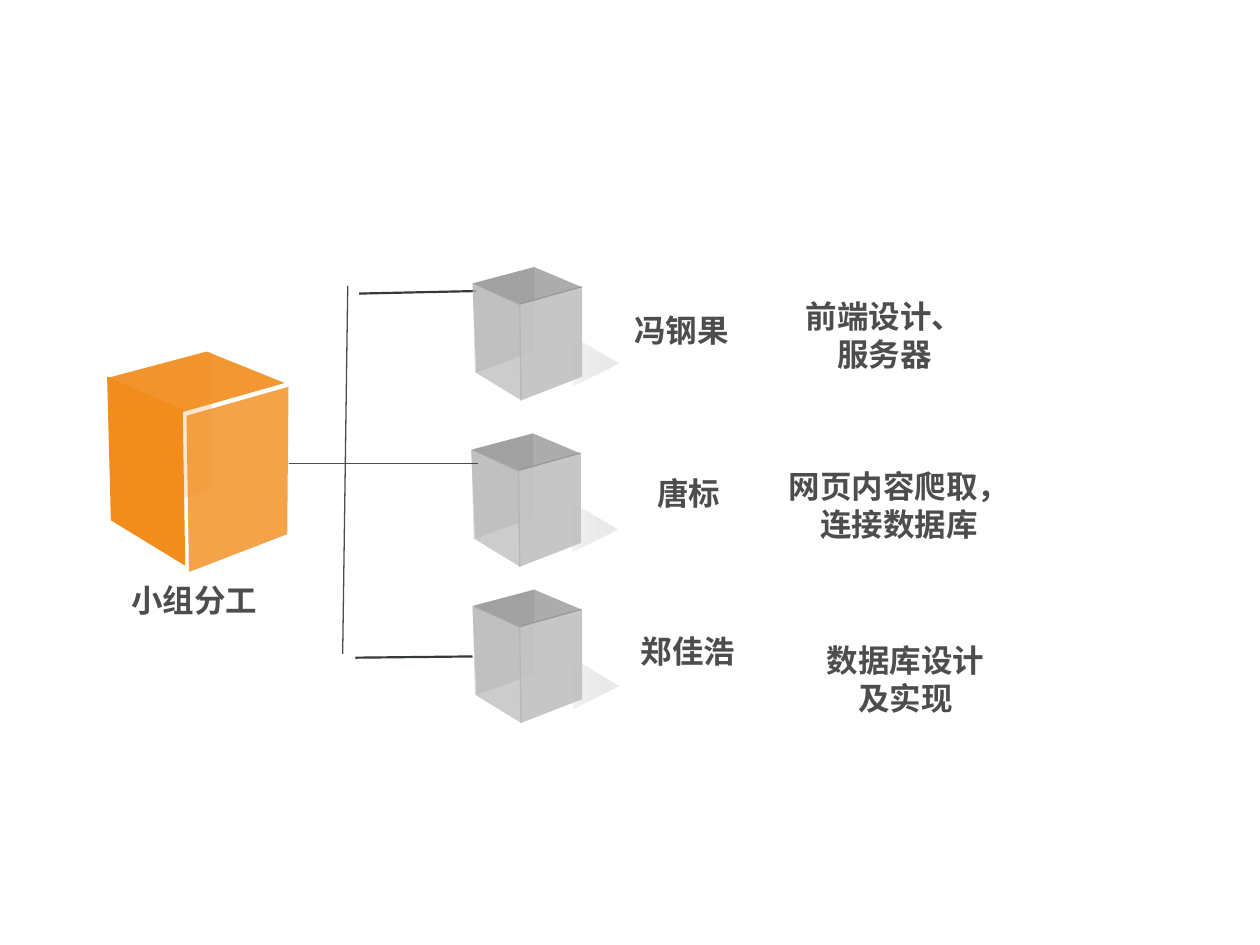
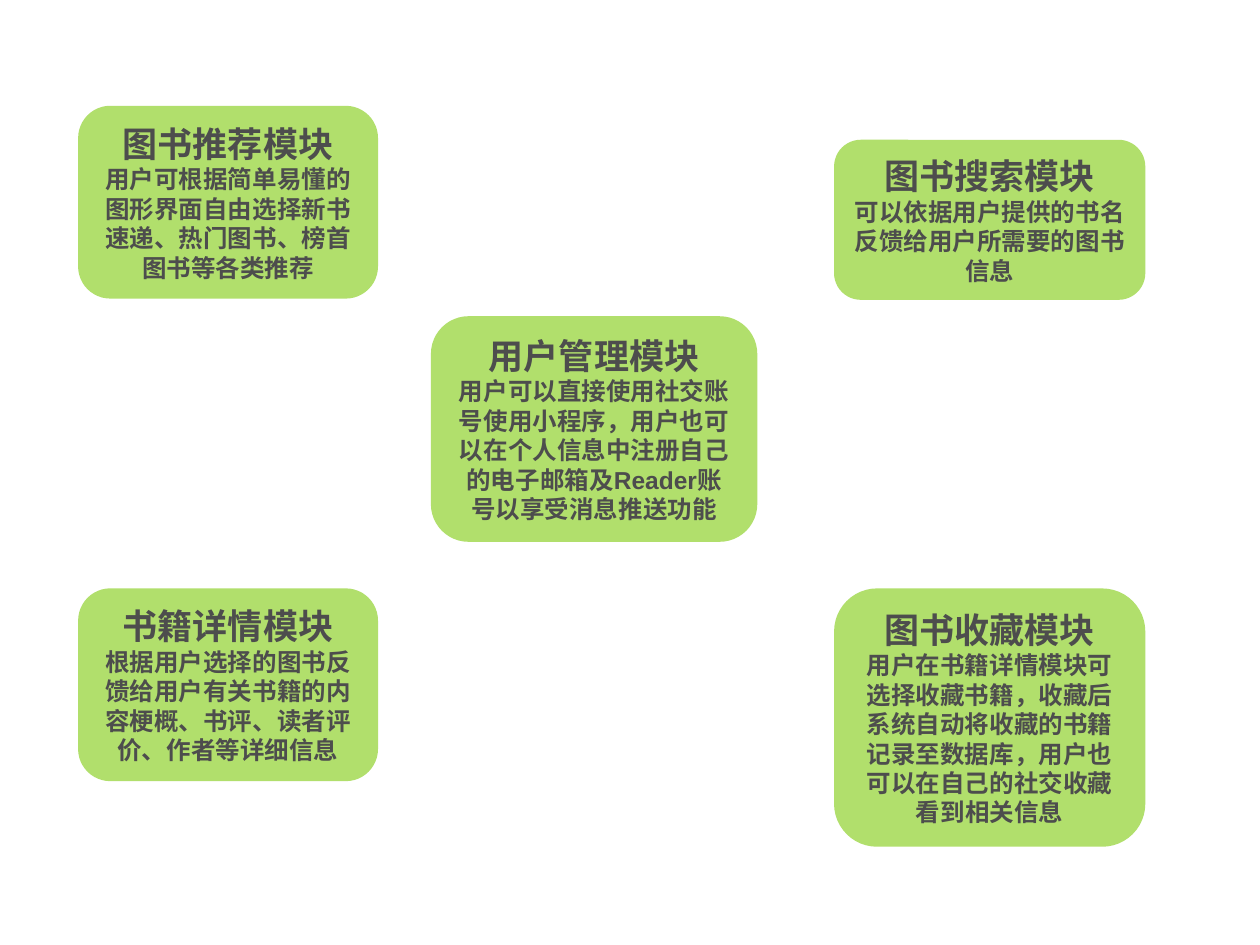
from lxml import etree
from pptx import Presentation
from pptx.dml.color import RGBColor
from pptx.enum.shapes import MSO_CONNECTOR, MSO_SHAPE
from pptx.enum.text import MSO_ANCHOR, MSO_AUTO_SIZE, PP_ALIGN
from pptx.oxml.ns import qn
from pptx.util import Inches, Pt

STRAIGHT = MSO_CONNECTOR.STRAIGHT
ROUNDED = MSO_SHAPE.ROUNDED_RECTANGLE
MIDDLE = MSO_ANCHOR.MIDDLE
GROW = MSO_AUTO_SIZE.SHAPE_TO_FIT_TEXT
CENTER = PP_ALIGN.CENTER

TEXT = RGBColor(0x4D, 0x4D, 0x4D)
BRANCH = RGBColor(0x35, 0x3A, 0x3C)
ORANGE = RGBColor(0xF2, 0x8C, 0x1C)
GREEN = RGBColor(0xB1, 0xDF, 0x6C)
SILVER = RGBColor(0xC0, 0xC0, 0xC0)
GRAY = RGBColor(0x80, 0x80, 0x80)
MID_GRAY = RGBColor(0xAE, 0xAE, 0xAE)
SHADOW = (RGBColor(0xD7, 0xD7, 0xD7), RGBColor(0xEA, 0xEA, 0xEA))

LATIN_FONT = "Arial"
CHINESE_FONT = "Noto Sans CJK SC"

# Faces from back to front: corner points, colour, opacity in percent.
ORANGE_FACES = [
    ([(0, 0.2), (0.03, 1.34), (0.62, 1.7), (0.6, 0.46)], ORANGE, 100),
    ([(0, 0.21), (0.6, 0.48), (1.41, 0.25), (0.79, 0)], ORANGE, 90),
    ([(0.63, 0.51), (0.65, 1.75), (1.43, 1.45), (1.44, 0.28)], ORANGE, 80),
    ([(0.83, 0), (0.83, 1.09), (0.07, 1.35), (0.04, 0.21)], ORANGE, 20),
]
GRAY_FACES = [
    ([(0.8, 0.55), (1.16, 0.76), (0.8, 0.94)], SHADOW, 28),
    ([(0.49, 0), (0.49, 0.67), (0.02, 0.84), (0, 0.13)], SILVER, 50),
    ([(0.37, 0.29), (0.38, 1.06), (0.87, 0.87), (0.87, 0.15)], SILVER, 90),
    ([(0, 0.13), (0.37, 0.3), (0.87, 0.16), (0.49, 0)], GRAY, 65),
    ([(0, 0.13), (0.03, 0.84), (0.39, 1.06), (0.38, 0.29)], MID_GRAY, 62),
]


def write_text(paragraph, text, size=18, font=LATIN_FONT, color=TEXT, bold=True):
    """Write one centred, formatted run into a paragraph."""
    paragraph.alignment = CENTER
    run = paragraph.add_run()
    run.text = text
    run.font.size = Pt(size)
    run.font.name = font
    run.font.bold = bold
    run.font.color.rgb = color
    east_asian = etree.SubElement(run._r.get_or_add_rPr(), qn("a:ea"))
    east_asian.set("typeface", CHINESE_FONT)


def set_opacity(shape, percent):
    """Set the opacity of the first fill colour of a shape."""
    color = shape._element.spPr.find(".//" + qn("a:srgbClr"))
    etree.SubElement(color, qn("a:alpha")).set("val", str(percent * 1000))


class Deck:
    """Holds the presentation, its style and the current slide."""

    def __init__(self):
        """Start an empty 4:3 presentation."""
        self.presentation = Presentation()
        self.presentation.slide_width = Inches(10)
        self.presentation.slide_height = Inches(7.5)
        self.slide = None

    def new_slide(self):
        """Add a blank slide and make it current."""
        self.slide = self.presentation.slides.add_slide(
            self.presentation.slide_layouts[6])

    def label(self, text, left, top, width, height, wrap=True, font=LATIN_FONT):
        """Add a text box."""
        box = self.slide.shapes.add_textbox(
            Inches(left), Inches(top), Inches(width), Inches(height))
        box.text_frame.word_wrap = wrap
        box.text_frame.auto_size = GROW
        write_text(box.text_frame.paragraphs[0], text, font=font)

    def line(self, start, end, color=TEXT, width=0.75):
        """Add a straight line between two points."""
        connector = self.slide.shapes.add_connector(
            STRAIGHT, *[Inches(value) for value in (*start, *end)])
        connector.line.color.rgb = color
        connector.line.width = Pt(width)
        etree.SubElement(connector._element.spPr, qn("a:effectLst"))

    def face(self, points, color, opacity):
        """Add a filled polygon; a pair of colours makes a gradient."""
        corners = [(Inches(x), Inches(y)) for x, y in points]
        builder = self.slide.shapes.build_freeform(*corners[0])
        builder.add_line_segments(corners[1:], close=True)
        shape = builder.convert_to_shape()
        shape.shadow.inherit = False
        if isinstance(color, RGBColor):
            shape.fill.solid()
            shape.fill.fore_color.rgb = color
        else:
            shape.fill.gradient()
            shape.fill.gradient_angle = 0
            for stop, stop_color in zip(shape.fill.gradient_stops, color):
                stop.color.rgb = stop_color
        if opacity < 100:
            set_opacity(shape, opacity)
        shape.line.fill.background()

    def cube(self, left, top, faces):
        """Add a cube made of translucent faces."""
        for points, color, opacity in faces:
            self.face([(left + x, top + y) for x, y in points], color, opacity)

    def card(self, title, body, left, top, width, height):
        """Add a rounded card with a title and a description."""
        shape = self.slide.shapes.add_shape(
            ROUNDED, Inches(left), Inches(top), Inches(width), Inches(height))
        shape.shadow.inherit = False
        shape.fill.solid()
        shape.fill.fore_color.rgb = GREEN
        shape.line.fill.background()
        frame = shape.text_frame
        frame.word_wrap = True
        frame.auto_size = GROW
        frame.vertical_anchor = MIDDLE
        write_text(frame.paragraphs[0], title, size=20)
        write_text(frame.add_paragraph(), body, size=14)


def build_team_slide(deck):
    """Show who in the group does what."""
    deck.new_slide()
    deck.line((2.85, 2.33), (3.78, 2.31), BRANCH, 1.25)
    deck.line((2.82, 5.22), (3.75, 5.21), BRANCH, 1.25)
    for name, left, top, width, height in [
        ("冯钢果", 4.93, 2.42, 0.96, 0.4),
        ("唐标", 5.11, 3.71, 0.71, 0.4),
        ("郑佳浩", 4.98, 4.97, 0.96, 0.4),
        ("小组分工", 0.93, 4.56, 1.22, 0.5),
    ]:
        deck.label(name, left, top, width, height, wrap=False, font=CHINESE_FONT)
    deck.cube(0.85, 2.79, ORANGE_FACES)
    for left, top in [(3.75, 2.12), (3.74, 3.44), (3.75, 4.68)]:
        deck.cube(left, top, GRAY_FACES)
    deck.line((2.29, 3.68), (3.79, 3.68))
    deck.line((2.76, 2.27), (2.72, 5.19))
    for task, left, top, width in [
        ("前端设计、服务器", 6.21, 2.31, 1.62),
        ("网页内容爬取，连接数据库", 6.15, 3.66, 1.97),
        ("数据库设计及实现", 6.34, 5.04, 1.69),
    ]:
        deck.label(task, left, top, width, 0.71)


def build_module_slide(deck):
    """Show the five modules of the program."""
    deck.new_slide()
    deck.card("用户管理模块",
              "用户可以直接使用社交账号使用小程序，用户也可以在个人信息中"
              "注册自己的电子邮箱及Reader账号以享受消息推送功能",
              3.42, 2.51, 2.59, 1.79)
    deck.card("图书搜索模块",
              "可以依据用户提供的书名反馈给用户所需要的图书信息",
              6.62, 1.11, 2.47, 1.27)
    deck.card("图书推荐模块",
              "用户可根据简单易懂的图形界面自由选择新书速递、热门图书、"
              "榜首图书等各类推荐",
              0.62, 0.84, 2.38, 1.53)
    deck.card("书籍详情模块",
              "根据用户选择的图书反馈给用户有关书籍的内容梗概、书评、"
              "读者评价、作者等详细信息",
              0.62, 4.67, 2.38, 1.53)
    deck.card("图书收藏模块",
              "用户在书籍详情模块可选择收藏书籍，收藏后系统自动将收藏的"
              "书籍记录至数据库，用户也可以在自己的社交收藏看到相关信息",
              6.62, 4.67, 2.47, 2.05)


def main():
    """Build both slides and save them."""
    deck = Deck()
    build_team_slide(deck)
    build_module_slide(deck)
    deck.presentation.save("out.pptx")


main()
